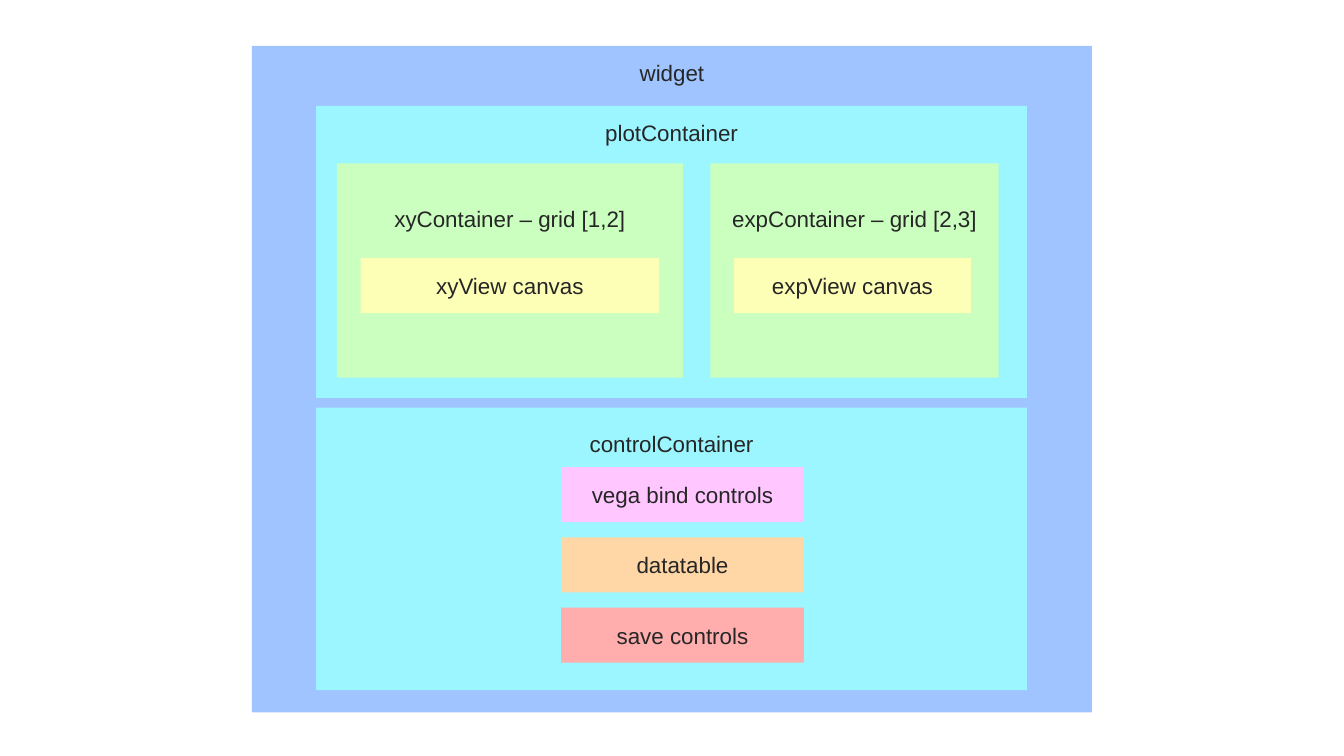
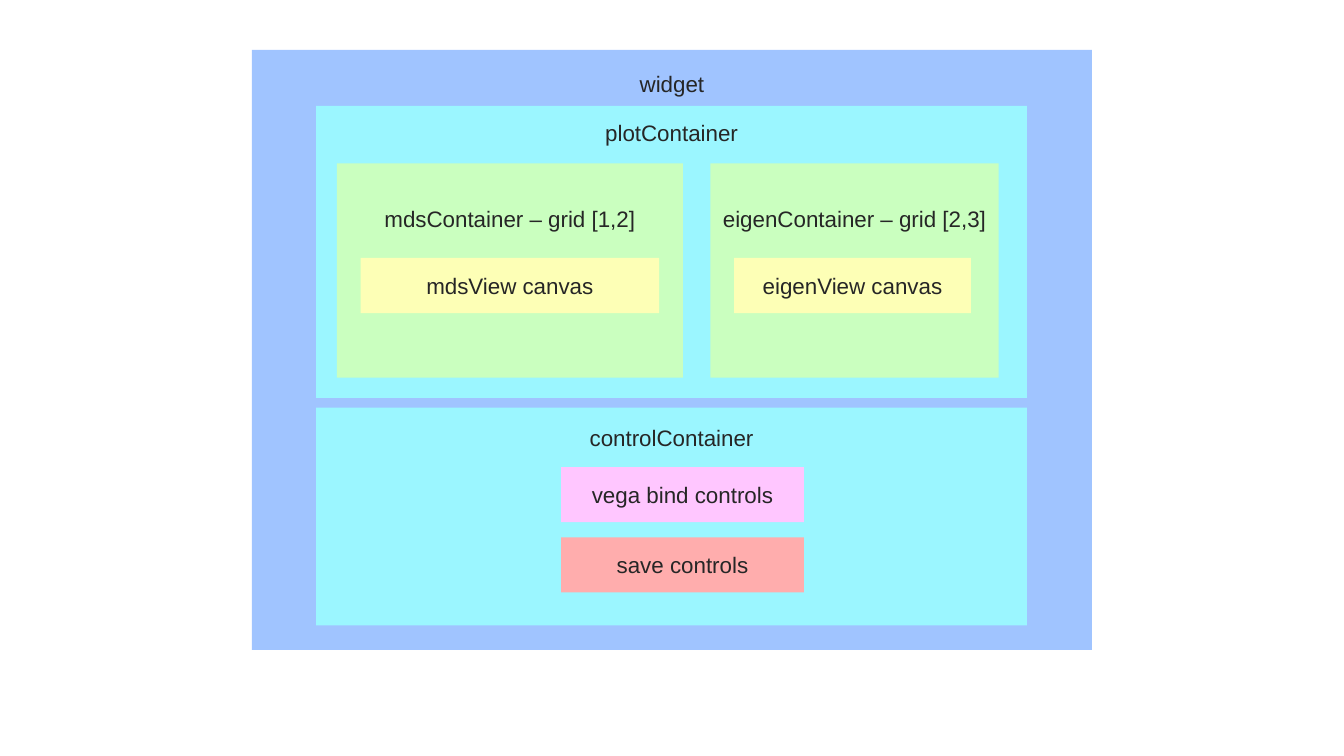
import dataclasses

import pptx
import pptx.dml.color
import pptx.enum.shapes
import pptx.enum.text
import pptx.util

Cm = pptx.util.Cm


@dataclasses.dataclass(frozen=True)
class Theme:
    """Colours and type shared by both slides."""
    font: str = "Arial"
    size: int = 16
    text: str = "262626"
    widget: str = "A0C4FF"
    container: str = "9BF6FF"
    view: str = "CAFFBF"
    canvas: str = "FDFFB6"
    bind: str = "FFC6FF"
    table: str = "FFD6A5"
    save: str = "FFADAD"


THEME = Theme()
BLANK_LAYOUT = 6

# Lengths in centimetres
WIDGET_LEFT, WIDGET_WIDTH = 6.35, 21.17
CONTAINER_LEFT, CONTAINER_WIDTH = 7.97, 17.91
PLOT_TOP, PLOT_HEIGHT = 2.67, 7.36
CONTROL_TOP = 10.27
VIEW_TOP, VIEW_HEIGHT = 4.12, 5.4
VIEW_COLUMNS = ((8.49, 8.72, 7.52), (17.9, 7.27, 5.97))  # left, width, canvas width
CANVAS_INDENT, CANVAS_DROP = 0.6, 2.38
ITEM_HEIGHT = 1.39
ITEM_LEFT, ITEM_WIDTH = 14.14, 6.12
ITEM_TOP, ITEM_PITCH = 11.77, 1.77


@dataclasses.dataclass(frozen=True)
class WidgetLayout:
    """What differs from one widget diagram to the next."""
    top: float
    height: float
    label_drop: float
    control_height: float
    control_label_drop: float
    views: tuple
    controls: tuple


def add_box(slide, label, color, left, top, width, height, label_drop=None):
    """Add a labelled box; label_drop places the label below the top edge."""
    shape = slide.shapes.add_shape(
        pptx.enum.shapes.MSO_SHAPE.RECTANGLE,
        Cm(left), Cm(top), Cm(width), Cm(height))
    shape.shadow.inherit = False
    shape.fill.solid()
    shape.fill.fore_color.rgb = pptx.dml.color.RGBColor.from_string(color)
    shape.line.fill.background()

    frame = shape.text_frame
    frame.word_wrap = True
    frame.vertical_anchor = pptx.enum.text.MSO_ANCHOR.MIDDLE
    if label_drop is not None:
        frame.vertical_anchor = pptx.enum.text.MSO_ANCHOR.TOP
        frame.margin_top = Cm(label_drop)
    paragraph = frame.paragraphs[0]
    paragraph.text = label
    paragraph.alignment = pptx.enum.text.PP_ALIGN.CENTER
    paragraph.font.name = THEME.font
    paragraph.font.size = pptx.util.Pt(THEME.size)
    paragraph.font.color.rgb = pptx.dml.color.RGBColor.from_string(THEME.text)


def add_plots(slide, views):
    """Add the plot container with one view and canvas per column."""
    add_box(slide, "plotContainer", THEME.container, CONTAINER_LEFT, PLOT_TOP,
            CONTAINER_WIDTH, PLOT_HEIGHT, label_drop=0.33)
    grids = ("[1,2]", "[2,3]")
    for name, grid, (left, width, canvas_width) in zip(views, grids, VIEW_COLUMNS):
        add_box(slide, f"{name}Container – grid {grid}", THEME.view,
                left, VIEW_TOP, width, VIEW_HEIGHT, label_drop=1.05)
        add_box(slide, f"{name}View canvas", THEME.canvas, left + CANVAS_INDENT,
                VIEW_TOP + CANVAS_DROP, canvas_width, ITEM_HEIGHT)


def add_controls(slide, layout):
    """Add the control container with its evenly stacked controls."""
    add_box(slide, "controlContainer", THEME.container, CONTAINER_LEFT, CONTROL_TOP,
            CONTAINER_WIDTH, layout.control_height, layout.control_label_drop)
    for index, (label, color) in enumerate(layout.controls):
        add_box(slide, label, color, ITEM_LEFT, ITEM_TOP + index * ITEM_PITCH,
                ITEM_WIDTH, ITEM_HEIGHT)


def add_widget_slide(presentation, layout):
    """Add a slide showing the nested containers of one widget."""
    slide = presentation.slides.add_slide(presentation.slide_layouts[BLANK_LAYOUT])
    add_box(slide, "widget", THEME.widget, WIDGET_LEFT, layout.top,
            WIDGET_WIDTH, layout.height, layout.label_drop)
    add_plots(slide, layout.views)
    add_controls(slide, layout)


def main():
    """Build and save the presentation."""
    presentation = pptx.Presentation()
    presentation.slide_width = Cm(33.87)
    presentation.slide_height = Cm(19.05)

    bind = ("vega bind controls", THEME.bind)
    table = ("datatable", THEME.table)
    save = ("save controls", THEME.save)
    add_widget_slide(presentation, WidgetLayout(
        top=1.16, height=16.79, label_drop=0.32,
        control_height=7.12, control_label_drop=0.58,
        views=("xy", "exp"), controls=(bind, table, save)))
    add_widget_slide(presentation, WidgetLayout(
        top=1.26, height=15.12, label_drop=0.5,
        control_height=5.49, control_label_drop=0.42,
        views=("mds", "eigen"), controls=(bind, save)))
    presentation.save("out.pptx")


main()
